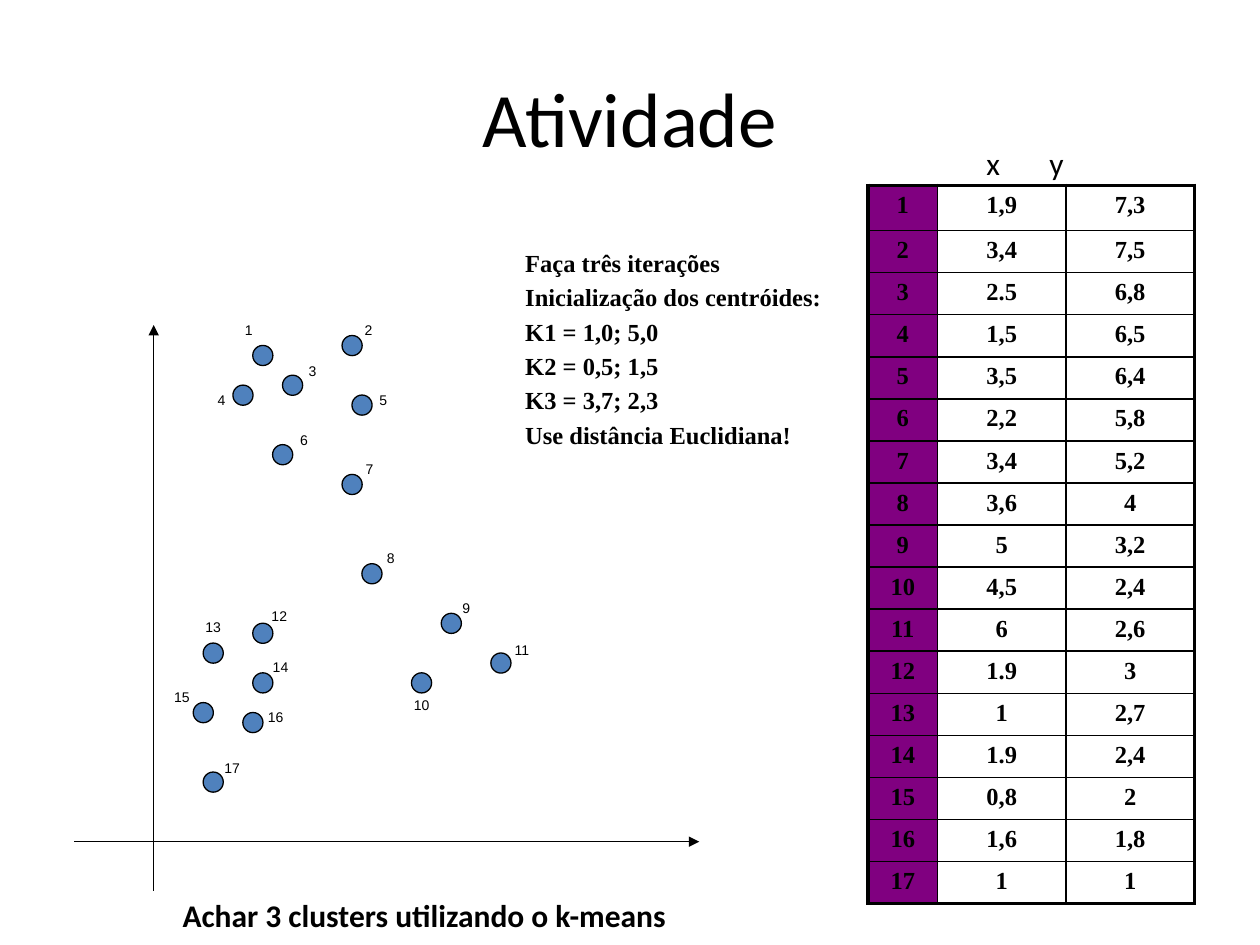
from lxml import etree
from pptx import Presentation
from pptx.dml.color import RGBColor
from pptx.enum.shapes import MSO_CONNECTOR, MSO_SHAPE
from pptx.enum.text import MSO_ANCHOR, MSO_AUTO_SIZE, PP_ALIGN
from pptx.oxml.ns import qn
from pptx.util import Inches, Pt

LEFT, MID = PP_ALIGN.LEFT, PP_ALIGN.CENTER
TOP, CENTRE = MSO_ANCHOR.TOP, MSO_ANCHOR.MIDDLE
FIT, NONE = MSO_AUTO_SIZE.SHAPE_TO_FIT_TEXT, MSO_AUTO_SIZE.NONE
DOT, LINE = MSO_SHAPE.OVAL, MSO_CONNECTOR.STRAIGHT

BLACK, BLUE, PURPLE = "000000", "4F81BD", "800080"
THIN, THICK = 1, 2.25

TITLE = {"name": "Calibri", "size": Pt(44), "bold": False}
HEAD = {"name": "Calibri", "size": Pt(18), "bold": False}
TASK = {"name": "Calibri", "size": Pt(18), "bold": True}
BODY = {"name": "Times New Roman", "size": Pt(14), "bold": True}
LABEL = {"name": "Arial", "size": Pt(8), "bold": False}


def colour(code):
    """Turn a hex string into a colour."""
    return RGBColor.from_string(code)


def apply(item, values):
    """Set each attribute named in a dict."""
    for key, value in values.items():
        setattr(item, key, value)


def node(parent, tag, **attrs):
    """Add one drawing element below a parent."""
    return etree.SubElement(parent, qn("a:" + tag), attrs)


class Slide:
    """One slide on a grid of 10 columns by 7.5 rows."""

    def __init__(self, deck):
        self.unit = deck.slide_width / 10
        self.shapes = deck.slides.add_slide(deck.slide_layouts[6]).shapes

    def grid(self, *cells):
        """Turn columns and rows into lengths."""
        return [round(cell * self.unit) for cell in cells]

    def words(self, frame, lines, style, align=LEFT, gap=0):
        """Fill a text frame, one paragraph a line."""
        for i, line in enumerate(lines):
            para = frame.paragraphs[0] if i == 0 else frame.add_paragraph()
            apply(para, {"alignment": align, "space_before": Pt(gap)})
            run = para.add_run()
            run.text = line
            apply(run.font, style)
            run.font.color.rgb = colour(BLACK)

    def text(self, box, lines, style, align=LEFT, gap=0, **form):
        """Add a text box."""
        frame = self.shapes.add_textbox(*self.grid(*box)).text_frame
        apply(frame, {"word_wrap": True, "auto_size": FIT,
                      "vertical_anchor": TOP, **form})
        self.words(frame, lines, style, align, gap)
        return frame

    def stops(self, frame, indent, stop):
        """Indent the first paragraph and give it a tab stop."""
        start, tab = self.grid(indent, stop)
        props = frame.paragraphs[0]._p.get_or_add_pPr()
        props.set("marL", str(start))
        props.set("indent", "0")
        node(node(props, "tabLst"), "tab", pos=str(tab), algn="l")

    def dot(self, x, y, size):
        """Add a circle around a centre."""
        box = self.grid(x - size / 2, y - size / 2, size, size)
        shape = self.shapes.add_shape(DOT, *box)
        shape.shadow.inherit = False
        shape.fill.solid()
        shape.fill.fore_color.rgb = colour(BLUE)
        shape.line.color.rgb = colour(BLACK)
        shape.line.width = Pt(0.75)

    def arrow(self, ends, tip):
        """Add a line with an arrowhead at the named end."""
        link = self.shapes.add_connector(LINE, *self.grid(*ends))
        link.line.color.rgb = colour(BLACK)
        link.line.width = Pt(0.75)
        props = link._element.spPr
        node(props.find(qn("a:ln")), tip, type="triangle")
        node(props, "effectLst")

    def border(self, cell, widths):
        """Draw the four borders of a cell, before its fill."""
        props = cell._tc.get_or_add_tcPr()
        for side, width in zip("LRTB", widths):
            edge = node(props, "ln" + side, w=str(int(Pt(width))))
            node(node(edge, "solidFill"), "srgbClr", val=BLACK)

    def table(self, box, wide, high, rows):
        """Add a framed table with a filled first column."""
        last, end = len(rows) - 1, len(wide) - 1
        grid = self.shapes.add_table(
            last + 1, end + 1, *self.grid(*box)).table
        apply(grid, {"first_row": False, "horz_banding": False})
        for col, width in zip(grid.columns, self.grid(*wide)):
            col.width = width
        for line, height in zip(grid.rows, self.grid(*high)):
            line.height = height
        for r, row in enumerate(rows):
            for c, value in enumerate(row):
                cell = grid.cell(r, c)
                outer = (c == 0, c == end, r == 0, r == last)
                self.border(cell, [THICK if o else THIN for o in outer])
                if c:
                    cell.fill.background()
                else:
                    cell.fill.solid()
                    cell.fill.fore_color.rgb = colour(PURPLE)
                self.words(cell.text_frame, [value], BODY, MID, 2.8)


# Table x and y, plot column and row, label offset from the dot
POINTS = [
    ("1,9", "7,3", 11, 49, -0.24, -0.32),
    ("3,4", "7,5", 20, 50, 0, -0.24),
    ("2.5", "6,8", 14, 46, 0.03, -0.23),
    ("1,5", "6,5", 9, 45, -0.3, -0.08),
    ("3,5", "6,4", 21, 44, 0.04, -0.16),
    ("2,2", "5,8", 13, 39, 0.04, -0.23),
    ("3,4", "5,2", 20, 36, 0.01, -0.24),
    ("3,6", "4", 22, 27, 0.02, -0.24),
    ("5", "3,2", 30, 22, -0.01, -0.24),
    ("4,5", "2,4", 27, 16, -0.16, 0.06),
    ("6", "2,6", 35, 18, 0.01, -0.22),
    ("1.9", "3", 11, 21, -0.03, -0.25),
    ("1", "2,7", 6, 19, -0.16, -0.32),
    ("1.9", "2,4", 11, 16, -0.02, -0.24),
    ("0,8", "2", 5, 13, -0.33, -0.24),
    ("1,6", "1,8", 10, 12, 0.02, -0.16),
    ("1", "1", 6, 6, -0.01, -0.23),
]
ZERO_X, ZERO_Y = 1.22, 6.68
STEP = 2 / 25.4
NOTES = ["Faça três iterações", "Inicialização dos centróides:",
         "K1 = 1,0; 5,0", "K2 = 0,5; 1,5", "K3 = 3,7; 2,3",
         "Use distância Euclidiana!"]


def plot(slide):
    """Draw the axes, the dots and their numbers."""
    slide.arrow((ZERO_X, 2.58, ZERO_X, 7.07), "headEnd")
    slide.arrow((0.59, ZERO_Y, 5.55, ZERO_Y), "tailEnd")
    for i, (_, _, col, row, dx, dy) in enumerate(POINTS, 1):
        x, y = ZERO_X + col * STEP, ZERO_Y - row * STEP
        slide.dot(x, y, 0.16)
        wide = 0.26 if i < 10 else 0.39
        slide.text((x + dx, y + dy, wide, 0.23), [str(i)], LABEL)


def main():
    """Build the slide and save it."""
    deck = Presentation()
    apply(deck, {"slide_width": Inches(10), "slide_height": Inches(7.5)})
    slide = Slide(deck)
    slide.text((0.5, 0.3, 9, 1.25), ["Atividade"], TITLE, MID,
               vertical_anchor=CENTRE, auto_size=NONE)
    plot(slide)
    rows = [(str(i), p[0], p[1]) for i, p in enumerate(POINTS, 1)]
    high = [0.36] + [5.33 / 16] * 16
    slide.table((6.89, 1.47, 2.6, 5.69), (0.55, 1.02, 1.02), high, rows)
    slide.text((1.35, 7.06, 4.08, 0.4),
               ["Achar 3 clusters utilizando o k-means"], TASK,
               word_wrap=False)
    slide.text((4.07, 1.92, 2.55, 2.32), NOTES, BODY, gap=2.8)
    head = slide.text((7.45, 1.09, 2.04, 0.4), ["x\ty"], HEAD)
    slide.stops(head, 0.28, 1.35)
    deck.save("out.pptx")


main()
